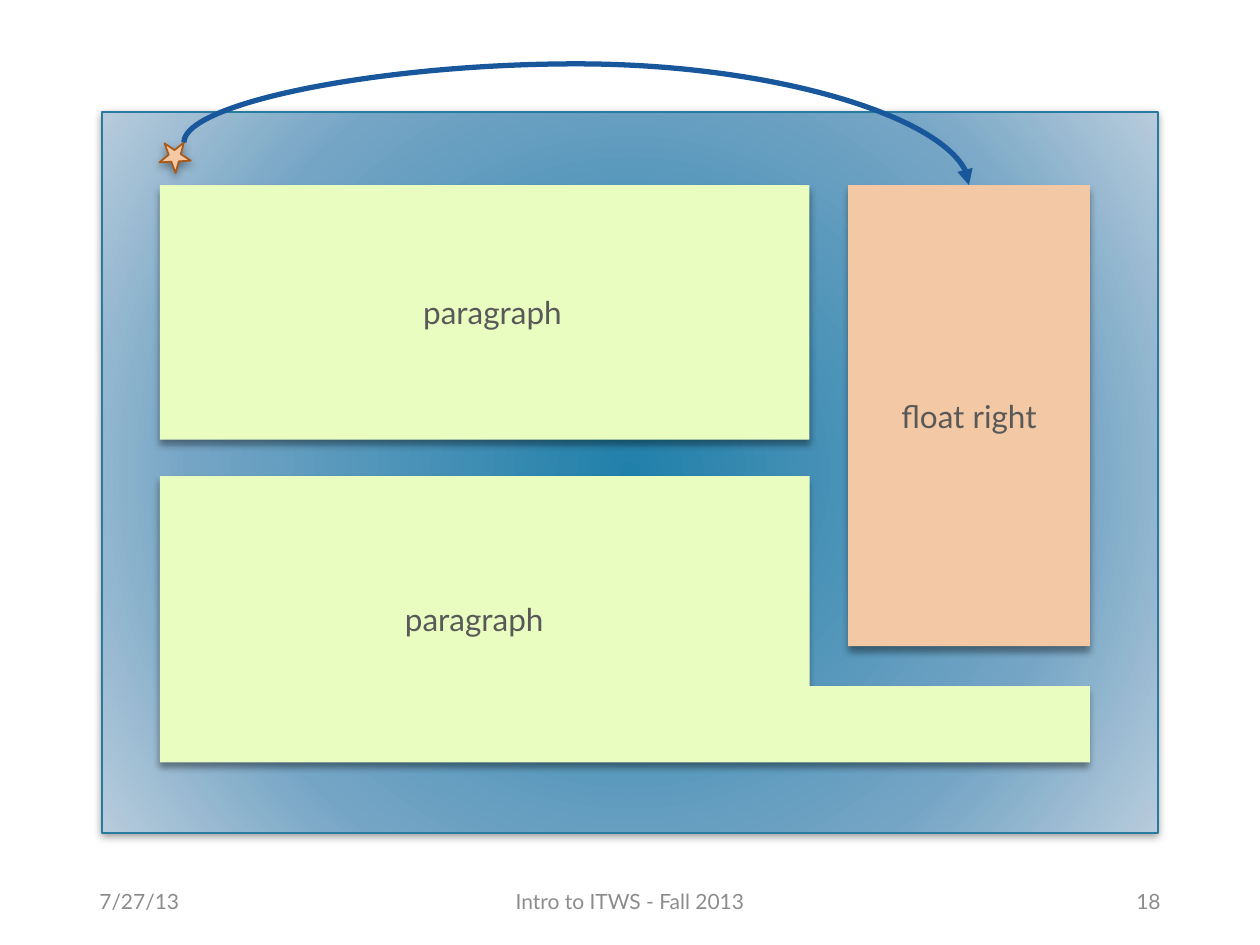
import pptx
import pptx.util
import pptx.dml.color
import pptx.enum.shapes
import pptx.enum.text
import pptx.oxml
import pptx.oxml.ns

Pt = pptx.util.Pt
SHAPES = pptx.enum.shapes.MSO_SHAPE
ALIGN = pptx.enum.text.PP_ALIGN
qn = pptx.oxml.ns.qn

FONT = "Lato"
COLORS = {
    "paragraph": "EAFDC1",
    "float": "F3C8A5",
    "star_line": "AA5816",
    "page_line": "287A9E",
    "arrow": "18579B",
    "text": "595959",
    "footer": "8C8C8C",
    "shadow": "000000",
}
PAGE_GRADIENT = [(0, "2180AA"), (69, "75A5C5"), (100, "B8CCDC")]

# Shared edges of the page layout
LEFT, RIGHT, TOP = 91.4, 622.8, 105.8
COLUMN_RIGHT = 462.6


def color(name):
    return pptx.dml.color.RGBColor.from_string(COLORS[name])


def xml(markup):
    namespace = pptx.oxml.ns.nsdecls("a")
    return pptx.oxml.parse_xml(markup.replace(" ", f" {namespace} ", 1))


def write_text(shape, text, size=18, color_name="text", align=ALIGN.CENTER, margin_left=7.2):
    frame = shape.text_frame
    frame.word_wrap = True
    frame.vertical_anchor = pptx.enum.text.MSO_ANCHOR.MIDDLE
    frame.margin_left = Pt(margin_left)
    paragraph = frame.paragraphs[0]
    paragraph.alignment = align
    run = paragraph.add_run()
    run.text = text
    run.font.name = FONT
    run.font.size = Pt(size)
    run.font.color.rgb = color(color_name)


def add_shadow(shape, blur, distance):
    shape.shadow.inherit = False
    effects = shape._element.spPr.find(qn("a:effectLst"))
    effects.append(xml(
        f'<a:outerShdw blurRad="{Pt(blur)}" dist="{Pt(distance)}" dir="5400000" rotWithShape="0">'
        f'<a:srgbClr val="{COLORS["shadow"]}"><a:alpha val="40000"/></a:srgbClr></a:outerShdw>'))


def format_shape(shape, fill, line=None, blur=4, distance=3):
    shape.fill.solid()
    shape.fill.fore_color.rgb = color(fill)
    if line:
        shape.line.color.rgb = color(line)
        shape.line.width = Pt(1)
    else:
        shape.line.fill.background()
    add_shadow(shape, blur, distance)


def add_box(slide, left, top, width, height, fill, kind=SHAPES.RECTANGLE, **options):
    shape = slide.shapes.add_shape(kind, Pt(left), Pt(top), Pt(width), Pt(height))
    format_shape(shape, fill, **options)
    return shape


def set_radial_gradient(shape, stops):
    stop_markup = "".join(
        f'<a:gs pos="{position * 1000}"><a:srgbClr val="{value}"/></a:gs>'
        for position, value in stops)
    gradient = xml(
        f'<a:gradFill rotWithShape="1"><a:gsLst>{stop_markup}</a:gsLst><a:path path="circle">'
        '<a:fillToRect l="100000" t="100000" r="100000" b="100000"/></a:path></a:gradFill>')
    properties = shape._element.spPr
    properties.replace(properties.find(qn("a:solidFill")), gradient)


def add_outline(slide, points, fill):
    builder = slide.shapes.build_freeform(Pt(points[0][0]), Pt(points[0][1]))
    builder.add_line_segments([(Pt(x), Pt(y)) for x, y in points[1:]], close=True)
    shape = builder.convert_to_shape()
    format_shape(shape, fill)
    return shape


def add_arc_arrow(slide, start, end, bend):
    """Curved arrow that leaves and enters vertically; its head is at start."""
    middle_x, middle_y = (start[0] + end[0]) / 2, (start[1] + end[1]) / 2
    half_width, half_height = (start[1] - end[1]) / 2, (start[0] - end[0]) / 2
    # The frame is laid out unrotated, then turned by 270 degrees
    connector = slide.shapes.add_connector(
        pptx.enum.shapes.MSO_CONNECTOR.CURVE,
        Pt(middle_x - half_width), Pt(middle_y + half_height),
        Pt(middle_x + half_width), Pt(middle_y - half_height))
    connector.line.color.rgb = color("arrow")
    connector.line.width = Pt(3)
    properties = connector._element.spPr
    properties.find(qn("a:xfrm")).set("rot", str(270 * 60000))
    adjustments = properties.find(qn("a:prstGeom")).find(qn("a:avLst"))
    adjustments.append(xml(f'<a:gd name="adj1" fmla="val {round(bend * 100000)}"/>'))
    properties.find(qn("a:ln")).append(xml('<a:headEnd type="triangle"/>'))
    properties.append(xml("<a:effectLst />"))


def add_footer(slide, left, width, text, align):
    box = slide.shapes.add_textbox(Pt(left), Pt(500.5), Pt(width), Pt(28.75))
    write_text(box, text, size=12, color_name="footer", align=align)


def main():
    presentation = pptx.Presentation()
    presentation.slide_width, presentation.slide_height = Pt(720), Pt(540)
    slide = presentation.slides.add_slide(presentation.slide_layouts[6])

    # Page background
    page = add_box(slide, 58.3, 64, 603.4, 412, "float", line="page_line", blur=5, distance=2)
    set_radial_gradient(page, PAGE_GRADIENT)

    # Floated box and the paragraph that wraps below it
    floated = add_box(slide, 484.6, TOP, RIGHT - 484.6, 263.5, "float")
    write_text(floated, "float right")
    wrapped = add_outline(slide, [
        (LEFT, 272), (COLUMN_RIGHT, 272), (COLUMN_RIGHT, 392),
        (RIGHT, 392), (RIGHT, 435.6), (LEFT, 435.6)], "paragraph")
    write_text(wrapped, "paragraph", align=ALIGN.LEFT, margin_left=140)

    # First paragraph
    first = add_box(slide, LEFT, TOP, COLUMN_RIGHT - LEFT, 145.4, "paragraph")
    write_text(first, "paragraph", margin_left=16)

    # Anchor star and its arrow
    star = add_box(slide, LEFT, 80, 18, 17.3, "float", kind=SHAPES.STAR_5_POINT,
                   line="star_line", blur=5, distance=2)
    star.rotation = 33.2
    add_arc_arrow(slide, (553.7, TOP), (105.1, 81.4), 2.84)

    # Footer
    for left, width, text, align in [
            (49.7, 193.7, "7/27/13", ALIGN.LEFT),
            (274.3, 171.4, "Intro to ITWS - Fall 2013", ALIGN.CENTER),
            (476.6, 193.7, "18", ALIGN.RIGHT)]:
        add_footer(slide, left, width, text, align)

    presentation.save("out.pptx")


main()
